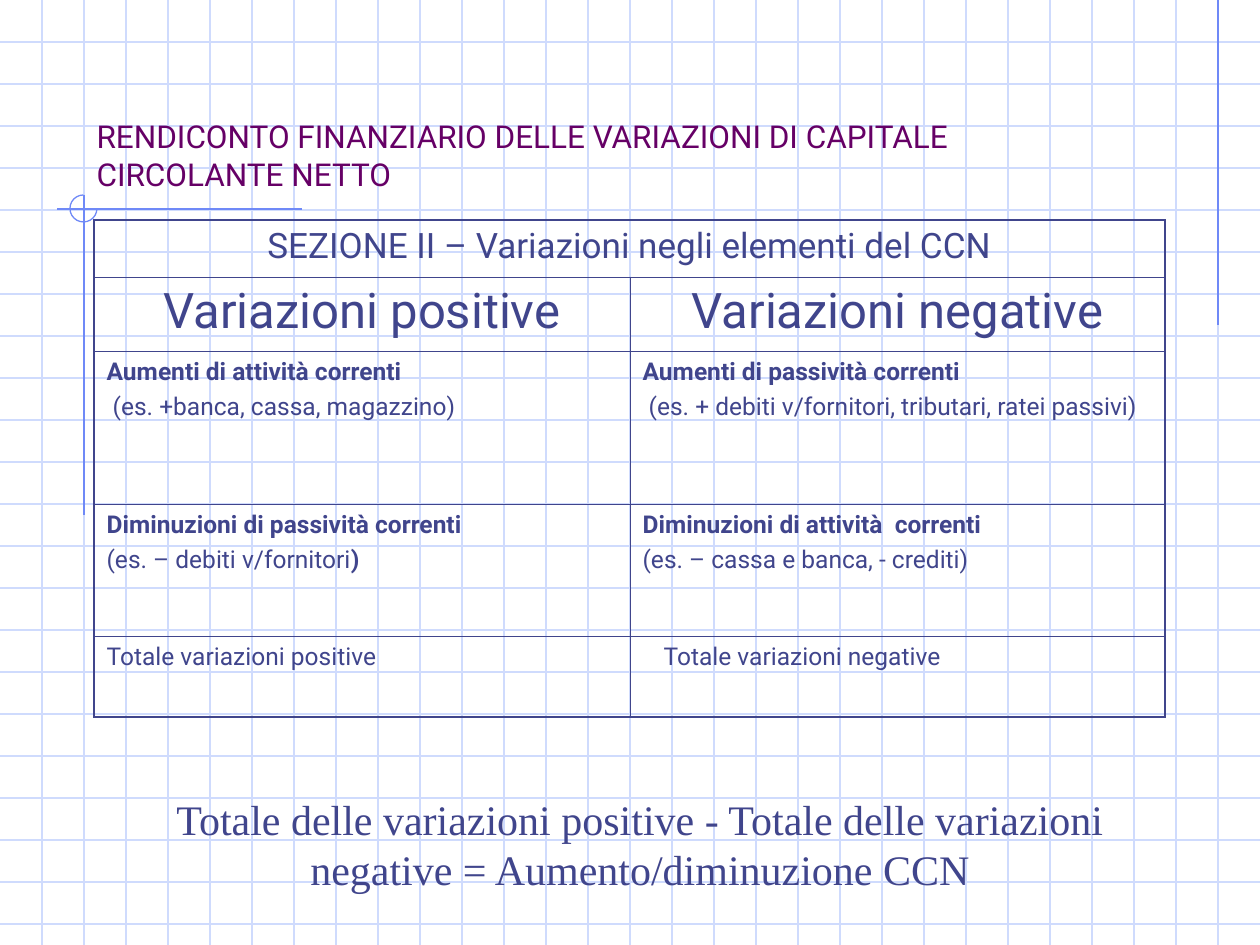
from lxml import etree
from pptx import Presentation
from pptx.dml.color import RGBColor
from pptx.enum.shapes import MSO_CONNECTOR, MSO_SHAPE
from pptx.enum.text import MSO_ANCHOR, MSO_AUTO_SIZE, PP_ALIGN
from pptx.oxml import parse_xml
from pptx.oxml.ns import qn
from pptx.util import Pt

LINE = MSO_CONNECTOR.STRAIGHT
ARC = MSO_SHAPE.ARC
BOTTOM = MSO_ANCHOR.BOTTOM
FIXED = MSO_AUTO_SIZE.NONE
LEFT, MID = PP_ALIGN.LEFT, PP_ALIGN.CENTER
NS = "http://schemas.openxmlformats.org/drawingml/2006/main"
SCALE = 914400 / 126
WIDE, HIGH, STEP = 1260, 945, 42
PALE, BLUE, INK, PLUM = "CFDBFD", "6F89F7", "40458C", "660066"


def px(*vals):
    return [round(v * SCALE) for v in vals]


def color(code):
    return RGBColor.from_string(code)


deck = Presentation()
deck.slide_width, deck.slide_height = px(WIDE, HIGH)
slide = deck.slides.add_slide(deck.slide_layouts[5])
shapes = slide.shapes

lines = [(0, y, WIDE, y, PALE) for y in range(STEP, HIGH, STEP)]
lines += [(x, 0, x, HIGH, PALE) for x in range(STEP, WIDE, STEP)]
lines += [
    (1218, 0, 1218, 325, BLUE),
    (302, 209, 57, 209, BLUE),
    (84, 195, 84, 515, BLUE),
]
for *ends, code in lines:
    line = shapes.add_connector(LINE, *px(*ends))
    line.line.color.rgb = color(code)
    line.line.width = Pt(0.75)
    etree.SubElement(line._element.spPr, qn("a:effectLst"))

arc = shapes.add_shape(ARC, *px(70, 195, 27, 27))
arc.adjustments[0] = 0
arc.adjustments[1] = 162
arc.shadow.inherit = False
arc.fill.background()
arc.line.color.rgb = color(BLUE)
arc.line.width = Pt(0.75)

title = shapes.title
title.left, title.top, title.width, title.height = px(84, 42, 1071, 157)
shapes._spTree.append(title._element)
frame = title.text_frame
frame.auto_size = FIXED
frame.word_wrap = True
frame.vertical_anchor = BOTTOM
frame.text = "RENDICONTO FINANZIARIO DELLE VARIAZIONI DI CAPITALE CIRCOLANTE NETTO"
para = frame.paragraphs[0]
para.alignment = LEFT
para.font.name = "Roboto"
para.font.size = Pt(18)
para.font.color.rgb = color(PLUM)

rows = [
    (57, 20, [["SEZIONE II – Variazioni negli elementi del CCN"], []]),
    (74, 28, [["Variazioni positive"], ["Variazioni negative"]]),
    (153, 14, [
        ["Aumenti di attività correnti", " (es. +banca, cassa, magazzino)"],
        ["Aumenti di passività correnti",
         " (es. + debiti v/fornitori, tributari, ratei passivi)"],
    ]),
    (132, 14, [
        ["Diminuzioni di passività correnti", "(es. – debiti v/fornitori"],
        ["Diminuzioni di attività  correnti", "(es. – cassa e banca, - crediti)"],
    ]),
    (81, 14, [["Totale variazioni positive"], ["Totale variazioni negative"]]),
]
tall = sum(row[0] for row in rows)
table = shapes.add_table(len(rows), 2, *px(94, 220, 1071, tall)).table
table.first_row = table.horz_banding = False
for col, width in zip(table.columns, px(536, 535)):
    col.width = width
table.cell(0, 0).merge(table.cell(0, 1))

last = len(rows) - 1
for r, (height, size, texts) in enumerate(rows):
    table.rows[r].height = px(height)[0]
    for c, parts in enumerate(texts):
        cell = table.cell(r, c)
        edges = {"L": c == 0, "R": c == 1 or r == 0, "T": r == 0, "B": r == last}
        props = cell._tc.get_or_add_tcPr()
        for side, outer in edges.items():
            thick = Pt(1.08 if outer else 0.45)
            props.append(parse_xml(
                f'<a:ln{side} xmlns:a="{NS}" w="{thick}"><a:solidFill>'
                f'<a:srgbClr val="{INK}"/></a:solidFill></a:ln{side}>'))
        cell.fill.background()
        frame = cell.text_frame
        for i, part in enumerate(parts):
            para = frame.add_paragraph() if i else frame.paragraphs[0]
            para.add_run().text = part
            para.alignment = MID if r < 2 else LEFT
            para.space_before = Pt(size / 4)
            para.font.name = "Roboto"
            para.font.size = Pt(size)
            para.font.bold = len(parts) == 2 and i == 0
            para.font.color.rgb = color(INK)

close = table.cell(3, 0).text_frame.paragraphs[1].add_run()
close.text = ")"
close.font.bold = True
total = table.cell(last, 1).text_frame.paragraphs[0]
total._p.get_or_add_pPr().set("marL", str(px(21)[0]))

box = shapes.add_textbox(*px(115, 787, 1050, 113))
frame = box.text_frame
frame.word_wrap = True
frame.text = ("Totale delle variazioni positive - Totale delle variazioni "
              "negative = Aumento/diminuzione CCN")
para = frame.paragraphs[0]
para.alignment = MID
para.space_before = Pt(15)
para.font.name = "Times New Roman"
para.font.size = Pt(24)
para.font.color.rgb = color(INK)

deck.save("out.pptx")
